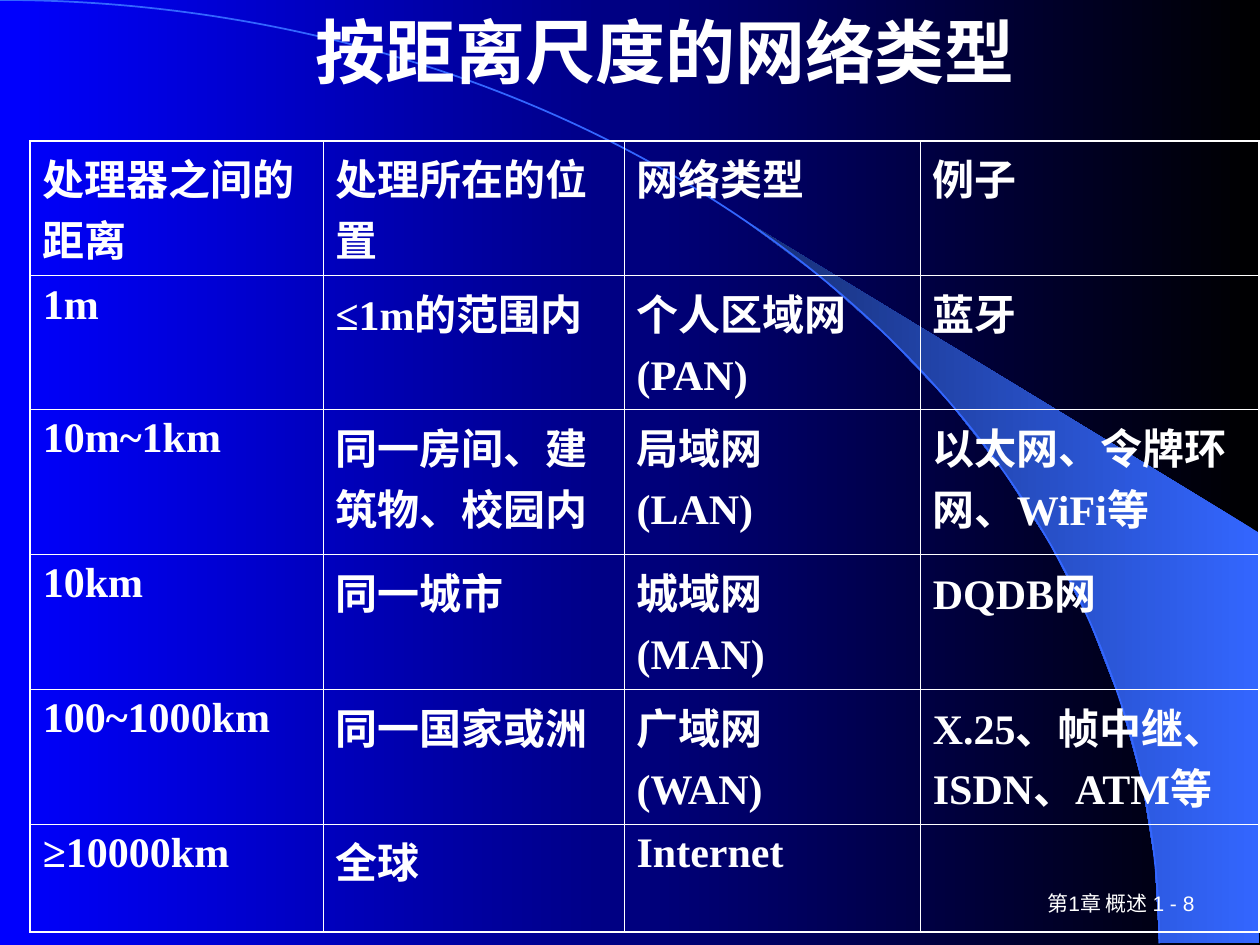
from math import cos, radians, sin

from lxml import etree
from pptx import Presentation
from pptx.dml.color import RGBColor
from pptx.enum.lang import MSO_LANGUAGE_ID
from pptx.enum.shapes import MSO_SHAPE
from pptx.enum.text import MSO_ANCHOR, PP_ALIGN
from pptx.oxml.ns import qn
from pptx.util import Cm, Pt

ARC = MSO_SHAPE.ARC
MIDDLE = MSO_ANCHOR.MIDDLE
LEFT, CENTER, RIGHT = PP_ALIGN.LEFT, PP_ALIGN.CENTER, PP_ALIGN.RIGHT
CHINESE = MSO_LANGUAGE_ID.SIMPLIFIED_CHINESE

BLACK = RGBColor(0x00, 0x00, 0x00)
BLUE = RGBColor(0x00, 0x00, 0xFF)
SKY = RGBColor(0x33, 0x66, 0xFF)
NAVY = RGBColor(0x17, 0x2F, 0x75)
WHITE = RGBColor(0xFF, 0xFF, 0xFF)

# Boxes in cm: left, top, width, height
ARC_BOX = (0, 0, 23.37, 19.02)
FOOT_BOX = (19.05, 17.78, 5.28, 0.84)
TITLE_BOX = (4.52, 0.38, 17.78, 1.27)
TABLE_BOX = (0.61, 2.84, 24.77, 15.95)

COLS = [5.9, 6.07, 5.97, 6.83]
ROWS = [2.72, 2.69, 2.92, 2.72, 2.72, 2.18]
OUTER, INNER = 1.08, 0.45

CELLS = [
    ["处理器之间的距离", "处理所在的位置", "网络类型", "例子"],
    ["1m", "≤1m的范围内", "个人区域网\n(PAN)", "蓝牙"],
    ["10m~1km", "同一房间、建筑物、校园内", "局域网\n(LAN)", "以太网、令牌环网、WiFi等"],
    ["10km", "同一城市", "城域网\n(MAN)", "DQDB网"],
    ["100~1000km", "同一国家或洲", "广域网\n(WAN)", "X.25、帧中继、ISDN、ATM等"],
    ["≥10000km", "全球", "Internet", ""],
]


def write(frame, text, size=24, font="Arial", bold=False, align=LEFT, gap=0):
    """Fill a text frame, one paragraph per line, with a gap between them."""
    frame.word_wrap = True
    for i, line in enumerate(text.split("\n")):
        par = frame.add_paragraph() if i else frame.paragraphs[0]
        par.alignment = align
        if i:
            par.space_before = Pt(gap)
        run = par.add_run()
        run.text = line
        run.font.size, run.font.name, run.font.bold = Pt(size), font, bold
        run.font.color.rgb = WHITE
        run.font.language_id = CHINESE


def shade(fill, first, last):
    """Blend from the first colour at the right to the last at the left."""
    fill.gradient()
    fill.gradient_angle = 180
    for stop, color in zip(fill.gradient_stops, (first, last)):
        stop.color.rgb = color


def add_label(slide, box, text, **style):
    frame = slide.shapes.add_textbox(*map(Cm, box)).text_frame
    frame.vertical_anchor = MIDDLE
    write(frame, text, **style)


def add_decor(slide, box):
    """Draw a quarter ellipse and the wedge between it and the right edge."""
    x, y, w, h = box
    curve = [(Cm(x + w * sin(t)), Cm(y + h * (1 - cos(t))))
             for t in map(radians, range(40, 91, 5))]

    # Wedge
    right = Cm(x + 25.38)
    pen = slide.shapes.build_freeform(*curve[0])
    pen.add_line_segments(
        curve[1:] + [(right, Cm(y + h)), (right, Cm(y + 10.74))])
    wedge = pen.convert_to_shape()
    wedge.shadow.inherit = False
    shade(wedge.fill, SKY, NAVY)
    wedge.line.fill.background()

    # Arc
    arc = slide.shapes.add_shape(ARC, *map(Cm, (x - w, y, 2 * w, 2 * h)))
    arc.shadow.inherit = False
    arc.fill.background()
    arc.line.color.rgb = SKY
    arc.line.width = Pt(1)


def add_border(cell, side, width):
    props = cell._tc.get_or_add_tcPr()
    line = etree.SubElement(props, qn("a:ln" + side), w=str(Pt(width)))
    fill = etree.SubElement(line, qn("a:solidFill"))
    etree.SubElement(fill, qn("a:srgbClr"), val=str(WHITE))


def add_grid(slide, box):
    table = slide.shapes.add_table(
        len(ROWS), len(COLS), *map(Cm, box)).table
    table.first_row = table.horz_banding = False
    for col, width in zip(table.columns, COLS):
        col.width = Cm(width)
    for row, height in zip(table.rows, ROWS):
        row.height = Cm(height)

    for r, texts in enumerate(CELLS):
        for c, text in enumerate(texts):
            cell = table.cell(r, c)
            edges = {"L": c == 0, "R": c == len(COLS) - 1,
                     "T": r == 0, "B": r == len(ROWS) - 1}
            for side, edge in edges.items():
                add_border(cell, side, OUTER if edge else INNER)
            cell.fill.background()
            if text:
                write(cell.text_frame, text, font="Times New Roman",
                      bold=True, gap=6)


def main():
    deck = Presentation()
    deck.slide_width, deck.slide_height = Cm(25.4), Cm(19.05)
    slide = deck.slides.add_slide(deck.slide_layouts[6])
    shade(slide.background.fill, BLACK, BLUE)

    add_decor(slide, ARC_BOX)
    add_label(slide, FOOT_BOX, "第1章 概述 1 - 8", size=12, align=RIGHT)
    add_label(slide, TITLE_BOX, "按距离尺度的网络类型",
              size=40, bold=True, align=CENTER)
    add_grid(slide, TABLE_BOX)
    deck.save("out.pptx")


if __name__ == "__main__":
    main()
